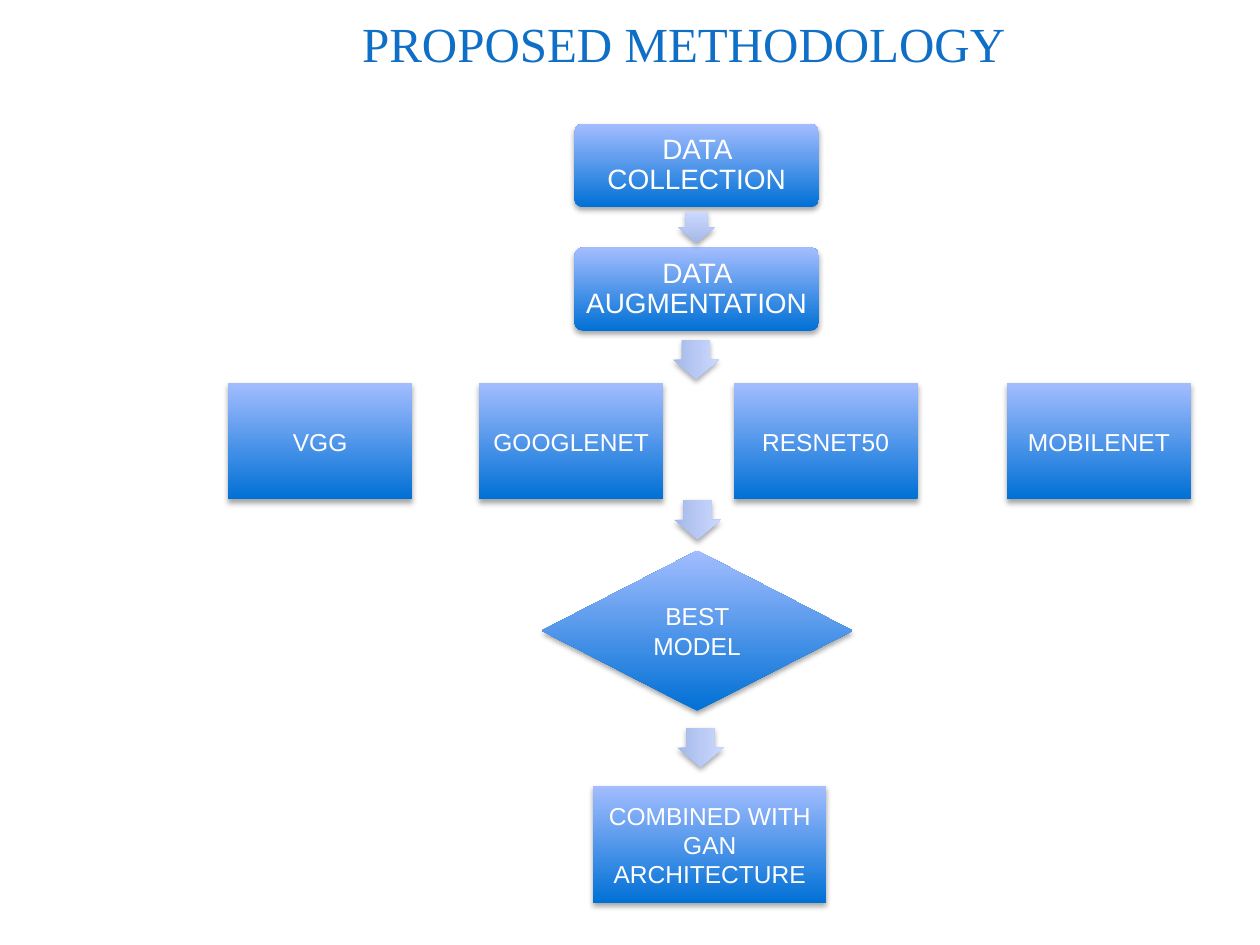
from lxml import etree
from pptx import Presentation
from pptx.dml.color import RGBColor
from pptx.enum.shapes import MSO_SHAPE
from pptx.enum.text import MSO_ANCHOR, PP_ALIGN
from pptx.oxml.ns import qn
from pptx.util import Cm, Pt

RECT = MSO_SHAPE.RECTANGLE
ROUNDED = MSO_SHAPE.ROUNDED_RECTANGLE
DIAMOND = MSO_SHAPE.DIAMOND
ARROW = MSO_SHAPE.RIGHT_ARROW
CENTER = PP_ALIGN.CENTER
MIDDLE = MSO_ANCHOR.MIDDLE
BOTTOM = MSO_ANCHOR.BOTTOM

COLORS = {
    "title": "0F6FC6",
    "text": "FFFFFF",
    "box_dark": "0070D5",
    "box_light": "A3BDFF",
    "arrow_dark": "A4B8E7",
    "arrow_light": "CBD9FF",
    "shadow": "000000",
}
MODELS = {"VGG": 0, "GOOGLENET": 5.06, "RESNET50": 10.19, "MOBILENET": 15.7}


def write(shape, text, size, color, font="Arial", anchor=MIDDLE):
    frame = shape.text_frame
    frame.word_wrap = True
    frame.vertical_anchor = anchor
    frame.text = text
    para = frame.paragraphs[0]
    para.alignment = CENTER
    span = para.runs[0]
    span.font.name = font
    span.font.size = Pt(size)
    span.font.color.rgb = RGBColor.from_string(COLORS[color])
    return frame


def add_shadow(shape):
    shape.shadow.inherit = False
    effects = shape._element.spPr.find(qn("a:effectLst"))
    outer = etree.SubElement(effects, qn("a:outerShdw"), blurRad="40000",
                             dist="23000", dir="5400000", rotWithShape="0")
    color = etree.SubElement(outer, qn("a:srgbClr"), val=COLORS["shadow"])
    etree.SubElement(color, qn("a:alpha"), val="35000")


def add_glossy(slide, kind, box, palette):
    """Add a borderless shape, dark at its base and light at its top."""
    shape = slide.shapes.add_shape(kind, *(Cm(length) for length in box))
    shape.fill.gradient()
    shape.fill.gradient_angle = 90
    for stop, tone in zip(shape.fill.gradient_stops, ("dark", "light")):
        stop.color.rgb = RGBColor.from_string(COLORS[f"{palette}_{tone}"])
    shape.line.fill.background()
    add_shadow(shape)
    return shape


def add_title(slide, box):
    title = slide.shapes.add_textbox(*(Cm(length) for length in box))
    frame = write(title, "PROPOSED METHODOLOGY", 28, "title", "Times New Roman", BOTTOM)
    frame.margin_left = frame.margin_right = frame.margin_bottom = 0


def add_step(slide, kind, box, text):
    step = add_glossy(slide, kind, box, "box")
    write(step, text, 14, "text")


def add_down_arrow(slide, center_x, center_y, length=0.79, width=0.94):
    box = (center_x - length / 2, center_y - width / 2, length, width)
    arrow = add_glossy(slide, ARROW, box, "arrow")
    arrow.adjustments[0] = 0.6
    arrow.adjustments[1] = 0.5
    arrow.rotation = 90
    return arrow


def add_data_stage(slide, box):
    """Stack the two data steps with a small arrow between them."""
    left, top, width, height = box
    step_height = 1.68
    for text, step_top in (("DATA COLLECTION", top),
                           ("DATA AUGMENTATION", top + height - step_height)):
        step = add_glossy(slide, ROUNDED, (left, step_top, width, step_height), "box")
        step.adjustments[0] = 0.1
        frame = write(step, text, 16, "text")
        frame.margin_left = frame.margin_right = Cm(0.08)
        frame.paragraphs[0].line_spacing = 0.9
    arrow = add_down_arrow(slide, left + width / 2, top + height / 2, 0.64, 0.74)
    gradient = arrow._element.spPr.find(qn("a:gradFill"))
    gradient.set("rotWithShape", "0")


def add_model_row(slide, box):
    left, top, width, height = box
    model_width = width - max(MODELS.values())
    for name, offset in MODELS.items():
        add_step(slide, RECT, (left + offset, top, model_width, height), name)


def main():
    deck = Presentation()
    deck.slide_width, deck.slide_height = Cm(25.4), Cm(19.05)
    slide = deck.slides.add_slide(deck.slide_layouts[6])

    add_title(slide, (4.8, 0.08, 17.96, 1.37))
    add_data_stage(slide, (11.58, 2.5, 4.93, 4.17))
    add_model_row(slide, (4.6, 7.72, 19.41, 2.35))
    for center in ((14.03, 7.25), (14.06, 10.48), (14.12, 15.07)):
        add_down_arrow(slide, *center)
    add_step(slide, DIAMOND, (10.92, 11.1, 6.27, 3.23), "BEST MODEL")
    add_step(slide, RECT, (11.96, 15.85, 4.7, 2.36), "COMBINED WITH GAN ARCHITECTURE")

    deck.save("out.pptx")


if __name__ == "__main__":
    main()
